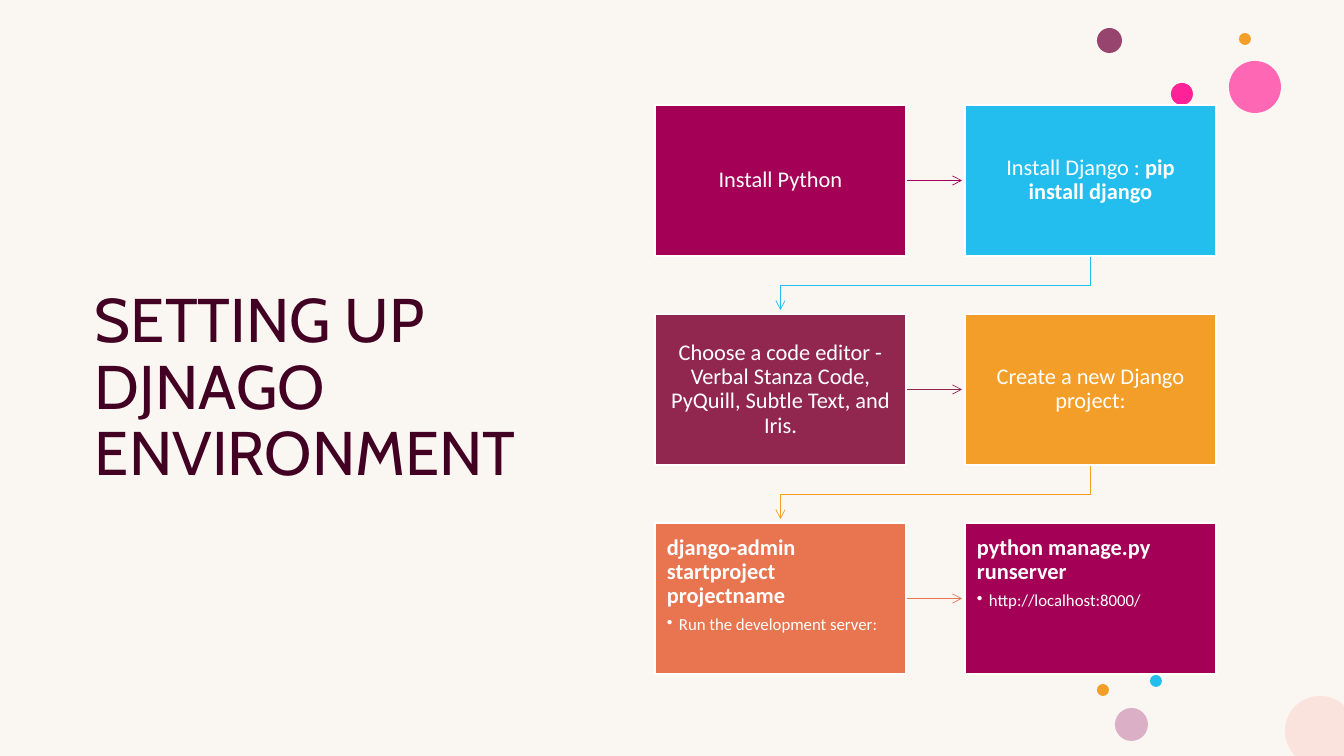
from math import cos, radians, sin

from lxml.etree import SubElement
from pptx import Presentation
from pptx.dml.color import RGBColor
from pptx.enum.shapes import MSO_CONNECTOR as Connector, MSO_SHAPE as Shape
from pptx.enum.text import MSO_ANCHOR as Anchor, PP_ALIGN as Align
from pptx.oxml.ns import qn
from pptx.util import Emu, Pt

TITLE = "SETTING UP DJNAGO ENVIRONMENT"
STEPS = [
    {"color": "magenta", "lead": [("Install Python", False)]},
    {"color": "sky", "lead": [("Install Django : ", False), ("pip install django", True)]},
    {"color": "plum", "lead": [
        ("Choose a code editor - Verbal Stanza Code, PyQuill, Subtle Text, and Iris.", False)]},
    {"color": "amber", "lead": [("Create a new Django project:", False)]},
    {"color": "coral", "lead": [("django-admin startproject projectname", True)],
     "bullet": "Run the development server:"},
    {"color": "magenta", "lead": [("python manage.py runserver", True)],
     "bullet": "http://localhost:8000/"},
]
DOTS = [
    (1097, 28, 25, "mauve"),
    (1229, 61, 52, "rose"),
    (1239, 33, 12, "amber"),
    (1171, 83, 22, "pink"),
    (1150, 675, 12, "sky"),
    (1115, 708, 33, "lilac"),
    (1097, 684, 12, "amber"),
]
CORNER_DOT = (1320, 731, 35, "blush")


class Theme:
    title_font, body_font = "Cabin", "Calibri"
    title_size, lead_size, bullet_size = Pt(44), Pt(16), Pt(12)
    box_line, arrow_line = Pt(1), Pt(0.5)
    colors = {
        "paper": "FAF6F2", "ink": "420023", "white": "FFFFFF",
        "magenta": "A40056", "sky": "24BEEE", "plum": "91274F",
        "amber": "F39E29", "coral": "E87450", "mauve": "97446E",
        "rose": "FE67B4", "pink": "FF2197", "lilac": "DBAFC5", "blush": "FAE3DC",
    }


SLIDE_W, SLIDE_H = 1344, 756
GRID_X, GRID_Y = 655, 105
BOX_W, BOX_H = 251, 151
STEP_X, STEP_Y = 310, 209
COLUMNS = 2
PAD_X, PAD_Y = 12, 13
BULLET_INDENT = 12


def px(length):
    return Emu(round(length * 914400 / 100.8))


def color(name):
    return RGBColor.from_string(Theme.colors[name])


def paint(shape, name):
    shape.shadow.inherit = False
    shape.fill.solid()
    shape.fill.fore_color.rgb = color(name)
    shape.line.fill.background()


def style(para, font, size, ink, space_after):
    para.line_spacing = 0.9
    para.space_after = Pt(space_after)
    para.font.name = font
    para.font.size = size
    para.font.color.rgb = color(ink)


def add_title(page):
    box = page.shapes.add_textbox(px(85), px(GRID_Y), px(508), px(569))
    frame = box.text_frame
    frame.word_wrap = True
    frame.vertical_anchor = Anchor.MIDDLE
    para = frame.paragraphs[0]
    para.text = TITLE
    style(para, Theme.title_font, Theme.title_size, "ink", 6)


def add_dots(page):
    for left, top, size, name in DOTS:
        paint(page.shapes.add_shape(Shape.OVAL, px(left), px(top), px(size), px(size)), name)
    x, y, radius, name = CORNER_DOT
    points = [
        (px(min(SLIDE_W, x + radius * cos(radians(angle)))),
         px(min(SLIDE_H, y + radius * sin(radians(angle)))))
        for angle in range(0, 360, 5)
    ]
    outline = page.shapes.build_freeform(*points[0])
    outline.add_line_segments(points[1:])
    paint(outline.convert_to_shape(), name)


def add_bullet(frame, text):
    para = frame.add_paragraph()
    para.text = text
    para.level = 1
    para.alignment = Align.LEFT
    para.line_spacing = 0.9
    properties = para._p.get_or_add_pPr()
    properties.set("marL", str(px(BULLET_INDENT)))
    properties.set("indent", str(-px(BULLET_INDENT)))
    SubElement(properties, qn("a:buChar")).set("char", "•")
    style(para, Theme.body_font, Theme.bullet_size, "white", 2)


def add_step(page, step, left, top):
    box = page.shapes.add_shape(Shape.RECTANGLE, px(left), px(top), px(BOX_W), px(BOX_H))
    paint(box, step["color"])
    box.line.color.rgb = color("white")
    box.line.width = Theme.box_line
    frame = box.text_frame
    frame.word_wrap = True
    frame.margin_left = frame.margin_right = px(PAD_X)
    frame.margin_top = frame.margin_bottom = px(PAD_Y)
    has_bullet = "bullet" in step
    frame.vertical_anchor = Anchor.TOP if has_bullet else Anchor.MIDDLE
    para = frame.paragraphs[0]
    para.alignment = Align.LEFT if has_bullet else Align.CENTER
    style(para, Theme.body_font, Theme.lead_size, "white", 5.6)
    for text, bold in step["lead"]:
        span = para.add_run()
        span.text = text
        span.font.bold = bold
    if has_bullet:
        add_bullet(frame, step["bullet"])


def finish_arrow(arrow, name):
    arrow.line.color.rgb = color(name)
    arrow.line.width = Theme.arrow_line
    SubElement(arrow.line._get_or_add_ln(), qn("a:tailEnd")).set("type", "arrow")


def add_arrow_right(page, name, left, top):
    y = px(top + BOX_H / 2)
    arrow = page.shapes.add_connector(
        Connector.STRAIGHT, px(left + BOX_W + 1), y, px(left + STEP_X - 3), y)
    finish_arrow(arrow, name)
    SubElement(arrow._element.spPr, qn("a:effectLst"))


def add_arrow_down(page, name, left, top):
    start_x, end_x = left + BOX_W / 2, GRID_X + BOX_W / 2
    start_y, end_y = top + BOX_H, top + STEP_Y - 4
    turn_y = top + (BOX_H + STEP_Y) / 2 
    route = page.shapes.build_freeform(px(start_x), px(start_y))
    route.add_line_segments(
        [(px(x), px(y)) for x, y in ((start_x, turn_y), (end_x, turn_y), (end_x, end_y))],
        close=False)
    arrow = route.convert_to_shape()
    arrow.shadow.inherit = False
    arrow.fill.background()
    finish_arrow(arrow, name)


def add_flow(page):
    for index, step in enumerate(STEPS):
        row, column = divmod(index, COLUMNS)
        left, top = GRID_X + column * STEP_X, GRID_Y + row * STEP_Y
        if index < len(STEPS) - 1:
            add_arrow = add_arrow_right if column < COLUMNS - 1 else add_arrow_down
            add_arrow(page, step["color"], left, top)
        add_step(page, step, left, top)


def main():
    deck = Presentation()
    deck.slide_width, deck.slide_height = px(SLIDE_W), px(SLIDE_H)
    page = deck.slides.add_slide(deck.slide_layouts[6])
    page.background.fill.solid()
    page.background.fill.fore_color.rgb = color("paper")
    add_title(page)
    add_dots(page)
    add_flow(page)
    deck.save("out.pptx")


if __name__ == "__main__":
    main()
